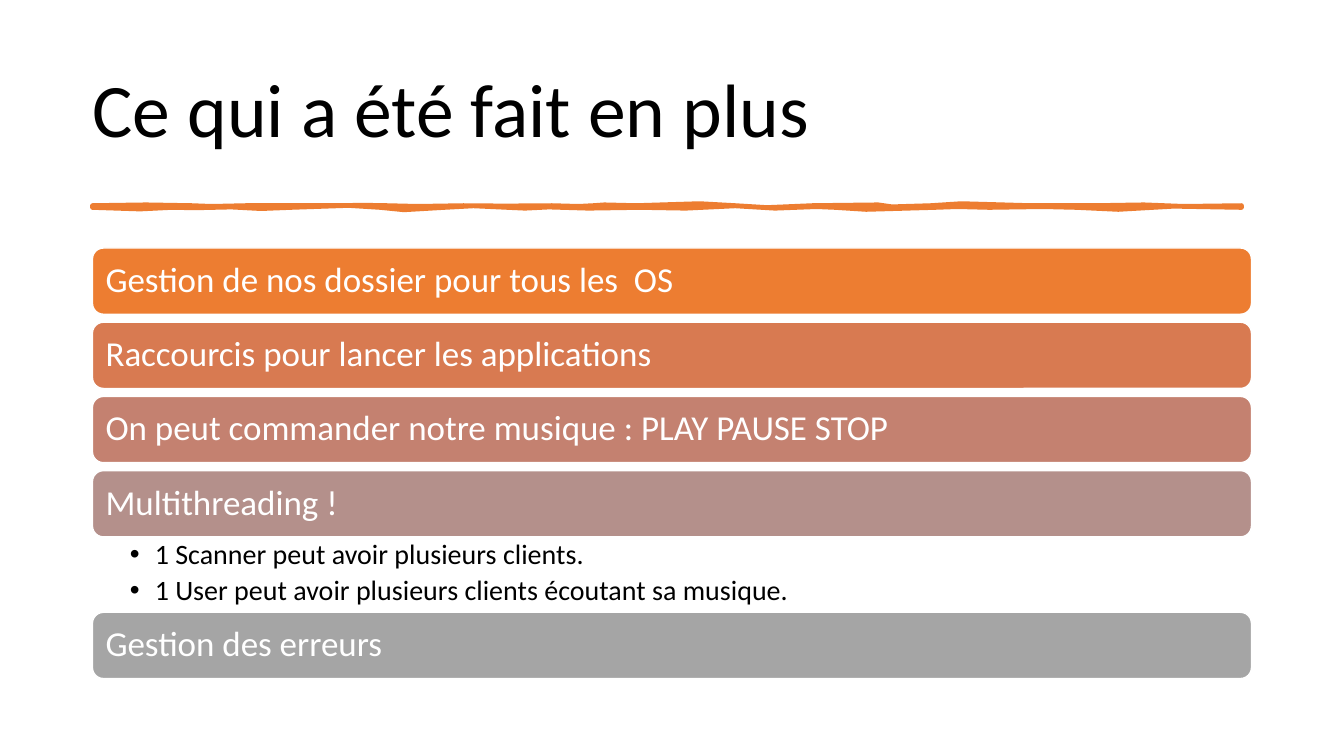
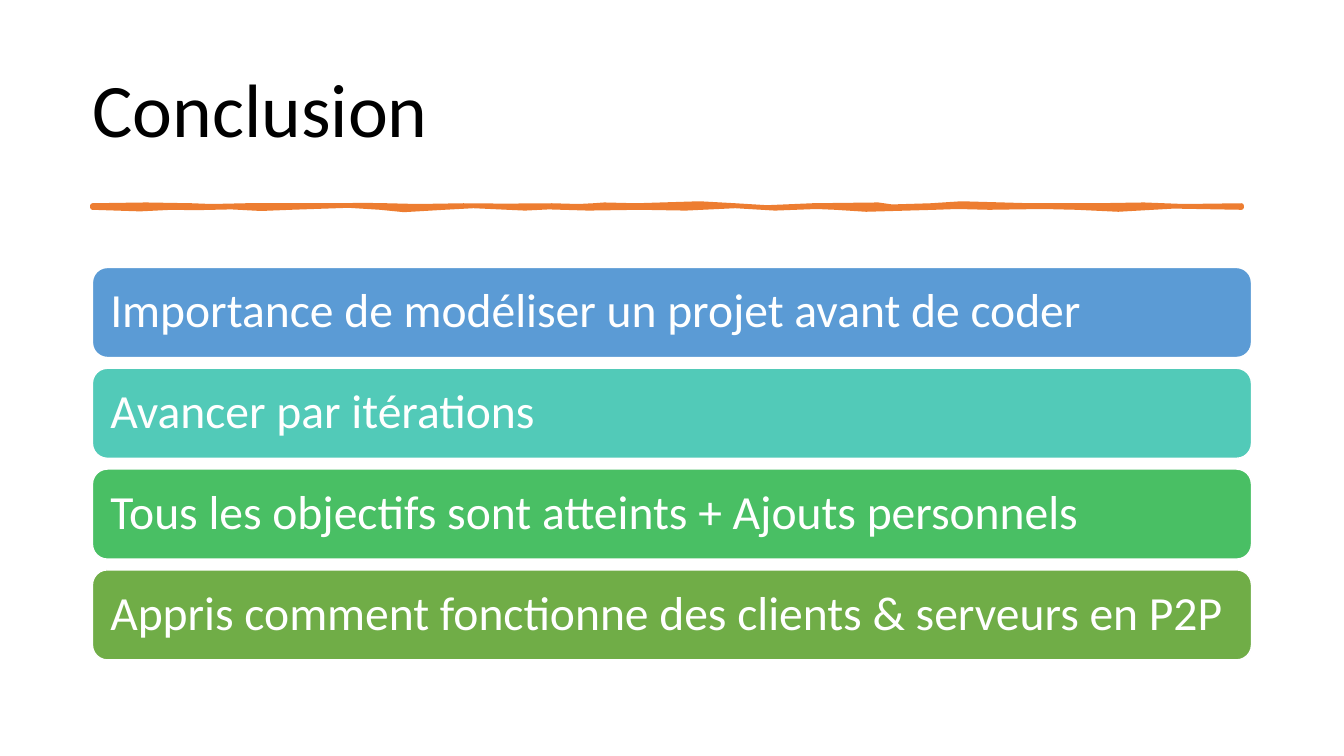
import dataclasses

import lxml.etree
import pptx
import pptx.dml.color
import pptx.enum.shapes
import pptx.enum.text
import pptx.oxml.ns
import pptx.util

Cm = pptx.util.Cm
Pt = pptx.util.Pt
qn = pptx.oxml.ns.qn
PP_ALIGN = pptx.enum.text.PP_ALIGN
MSO_ANCHOR = pptx.enum.text.MSO_ANCHOR


@dataclasses.dataclass(frozen=True)
class Theme:
    font: str = "Calibri"
    ink: str = "000000"
    paper: str = "FFFFFF"
    accent: str = "ED7D31"
    extras: tuple = ("ED7D31", "D87A51", "C48170", "B4908B", "A5A5A5")
    lessons: tuple = ("5B9BD5", "52CAB8", "49BF64", "70AD47")
    title_size: int = 54
    extra_size: int = 25
    lesson_size: int = 34
    detail_size: int = 20
    stroke: float = 3.25


THEME = Theme()
LEFT, WIDTH = 2.33, 29.21
RULE_TOP, RULE_BOTTOM = 5.18, 5.23
UPPER_EDGE = (
    (0, 0), (1.35, -0.02), (2.5, 0), (3, 0.02), (3.86, 0), (6.07, 0),
    (6.85, -0.01), (7.42, 0), (8.2, 0.02), (9.35, 0), (10.4, 0.01),
    (11.58, 0), (12.25, 0.02), (12.62, 0), (12.9, -0.02), (13.7, 0),
    (15.3, -0.05), (16.2, 0), (17, 0.05), (18.14, 0), (19.8, -0.02),
    (20.15, 0.03), (21.13, 0), (21.9, -0.05), (23.65, 0), (25.27, 0),
    (26.5, -0.02), (27.5, 0.02), (28.96, 0),
)
LOWER_EDGE = (
    (28.96, 0), (27.25, -0.03), (25.85, 0.05), (24.8, 0), (23.95, -0.02),
    (22.6, 0), (21.8, -0.02), (21.23, 0), (19.5, 0.05), (18.72, 0),
    (18.25, -0.02), (17.2, 0.02), (16.2, -0.04), (14.95, 0.02), (13.8, 0),
    (12.5, 0.02), (11.5, -0.01), (10.9, 0.02), (9.6, -0.04), (8.87, 0),
    (7.85, 0.06), (7.25, 0), (6.45, -0.05), (5, 0), (4.25, 0.03),
    (3.5, -0.01), (2.6, 0.01), (2, 0), (1.2, 0.04), (0, 0),
)


class Deck:
    def __init__(self, theme):
        self.theme = theme
        self.presentation = pptx.Presentation()
        self.presentation.slide_width = Cm(33.87)
        self.presentation.slide_height = Cm(19.05)
        self.slide = None

    def color(self, code):
        return pptx.dml.color.RGBColor.from_string(code)

    def place(self, shape, top, height):
        shape.left, shape.top = Cm(LEFT), Cm(top)
        shape.width, shape.height = Cm(WIDTH), Cm(height)

    def frame(self, shape, insets, anchor):
        text = shape.text_frame
        text.word_wrap = True
        text.auto_size = pptx.enum.text.MSO_AUTO_SIZE.NONE
        text.vertical_anchor = anchor
        text.margin_left, text.margin_top, text.margin_right, text.margin_bottom = map(Cm, insets)
        return text

    def add_words(self, paragraph, words, size, code):
        paragraph.alignment = PP_ALIGN.LEFT
        paragraph.line_spacing = 0.9
        paragraph.space_before = Pt(0)
        run = paragraph.add_run()
        run.text = words
        run.font.name = self.theme.font
        run.font.size = Pt(size)
        run.font.color.rgb = self.color(code)

    def paint(self, shape, fill, line, weight):
        shape.shadow.inherit = False
        shape.fill.solid()
        shape.fill.fore_color.rgb = self.color(fill)
        shape.line.color.rgb = self.color(line)
        shape.line.width = Pt(weight)

    def start(self, heading, layout):
        self.slide = self.presentation.slides.add_slide(
            self.presentation.slide_layouts.get_by_name(layout))
        title = self.slide.shapes.title
        self.place(title, 1.02, 3.68)
        text = self.frame(title, (0, 0, 0, 0), MSO_ANCHOR.MIDDLE)
        self.add_words(text.paragraphs[0], heading, self.theme.title_size, self.theme.ink)
        self.brush_rule()

    def brush_rule(self):
        outline = [
            (Cm(LEFT + x), Cm(base + rise))
            for base, edge in ((RULE_TOP, UPPER_EDGE), (RULE_BOTTOM, LOWER_EDGE))
            for x, rise in edge
        ]
        builder = self.slide.shapes.build_freeform(*outline[0])
        builder.add_line_segments(outline[1:], close=True)
        rule = builder.convert_to_shape()
        self.paint(rule, self.theme.accent, self.theme.accent, self.theme.stroke)
        lxml.etree.SubElement(rule.element.spPr.find(qn("a:ln")), qn("a:round"))

    def bar(self, words, top, height, fill, size):
        bar = self.slide.shapes.add_shape(
            pptx.enum.shapes.MSO_SHAPE.ROUNDED_RECTANGLE,
            Cm(LEFT), Cm(top), Cm(WIDTH), Cm(height))
        self.paint(bar, fill, self.theme.paper, 1)
        text = self.frame(bar, (size / 100,) * 4, MSO_ANCHOR.MIDDLE)
        self.add_words(text.paragraphs[0], words, size, self.theme.paper)

    def bars(self, entries, fills, top, height, gap, size):
        for words, fill in zip(entries, fills):
            self.bar(words, top, height, fill, size)
            top += height + gap

    def details(self, entries, top, height):
        body = self.slide.placeholders[1]
        self.place(body, top, height)
        text = self.frame(body, (0.94, 0.08, 0.48, 0.08), MSO_ANCHOR.TOP)
        for index, words in enumerate(entries):
            paragraph = text.add_paragraph() if index else text.paragraphs[0]
            paragraph.level = 1
            self.add_words(paragraph, words, self.theme.detail_size, self.theme.ink)
            paragraph.space_after = Pt(self.theme.detail_size * 0.2)
            properties = paragraph._p.get_or_add_pPr()
            properties.set("marL", str(Cm(0.63)))
            properties.set("indent", str(-Cm(0.63)))
            lxml.etree.SubElement(properties, qn("a:buFont")).set("typeface", "Arial")
            lxml.etree.SubElement(properties, qn("a:buChar")).set("char", "•")


def main():
    deck = Deck(THEME)

    deck.start("Ce qui a été fait en plus", "Title and Content")
    extras = (
        "Gestion de nos dossier pour tous les  OS",
        "Raccourcis pour lancer les applications",
        "On peut commander notre musique : PLAY PAUSE STOP",
        "Multithreading !",
    )
    top, height, gap = 6.25, 1.67, 0.2
    deck.bars(extras, THEME.extras, top, height, gap, THEME.extra_size)
    details_top = top + len(extras) * (height + gap) - gap
    details_height = 1.9
    deck.details((
        "1 Scanner peut avoir plusieurs clients.",
        "1 User peut avoir plusieurs clients écoutant sa musique.",
    ), details_top, details_height)
    deck.bar("Gestion des erreurs", details_top + details_height, height,
             THEME.extras[-1], THEME.extra_size)

    deck.start("Conclusion", "Title Only")
    deck.bars((
        "Importance de modéliser un projet avant de coder",
        "Avancer par itérations",
        "Tous les objectifs sont atteints + Ajouts personnels",
        "Appris comment fonctionne des clients & serveurs en P2P",
    ), THEME.lessons, 6.74, 2.27, 0.27, THEME.lesson_size)

    deck.presentation.save("out.pptx")


if __name__ == "__main__":
    main()
